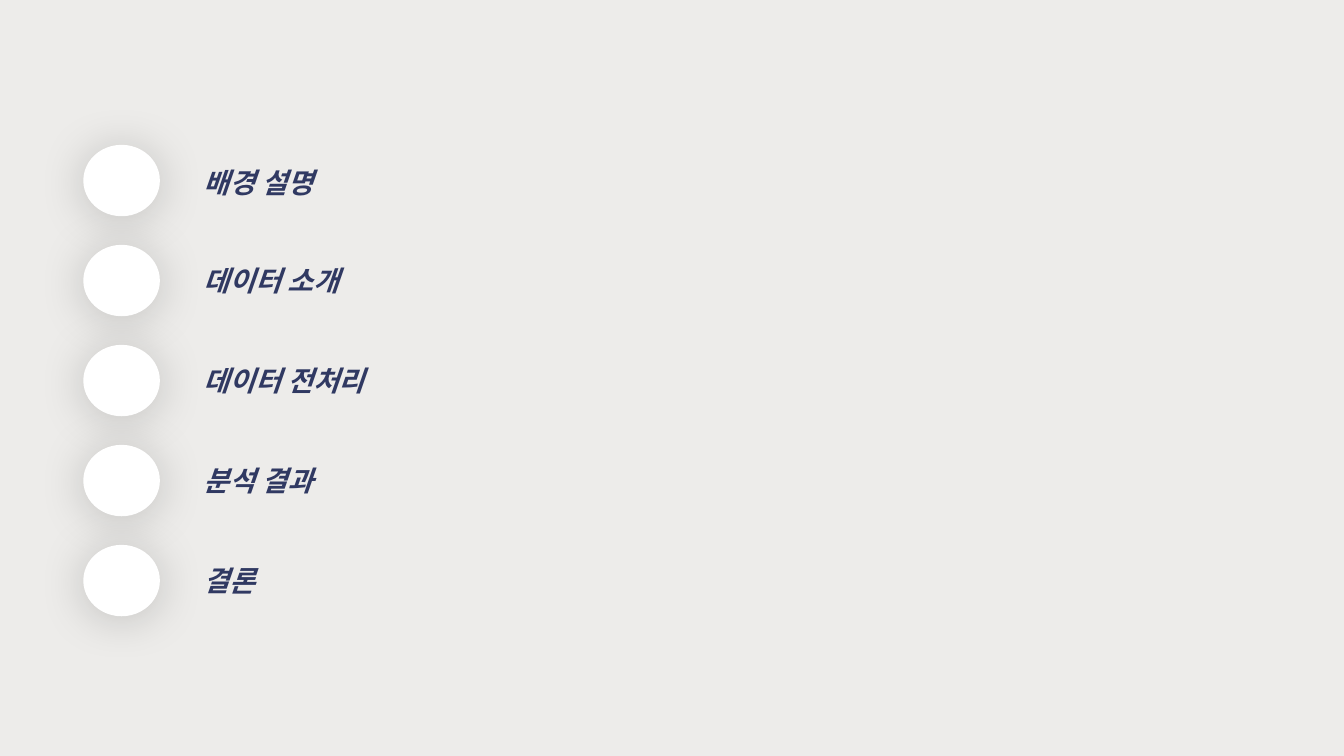
"""Build the agenda slide: five circles with section titles."""
from lxml import etree
from pptx import Presentation
from pptx.dml.color import RGBColor
from pptx.enum.shapes import MSO_SHAPE as SHAPE
from pptx.enum.text import MSO_AUTO_SIZE as AUTO
from pptx.oxml import parse_xml
from pptx.oxml.ns import qn
from pptx.util import Cm, Pt

FONT = "Noto Sans CJK KR"
PITCH = 2.52
TITLES = {
    "배경 설명": 4.05,
    "데이터 소개": 6.51,
    "데이터 전처리": 9.04,
    "분석 결과": 11.56,
    "결론": 14.07,
}
STYLE = {"name": FONT, "size": Pt(20), "bold": True, "italic": True}
SHADOW = (
    '<a:effectLst xmlns:a="http://schemas.openxmlformats.org/drawingml/2006/main">'
    f'<a:outerShdw blurRad="{Pt(34)}" dist="{Pt(2)}" dir="5400000" algn="ctr" rotWithShape="0">'
    '<a:srgbClr val="000000"><a:alpha val="18000"/></a:srgbClr>'
    '</a:outerShdw></a:effectLst>'
)


def rgb(value):
    return RGBColor.from_string(value)


prs = Presentation()
prs.slide_width, prs.slide_height = Cm(33.87), Cm(19.05)
s = prs.slides.add_slide(prs.slide_layouts[6])
s.background.fill.solid()
s.background.fill.fore_color.rgb = rgb("EDECEA")

for i in range(len(TITLES)):
    sp = s.shapes.add_shape(SHAPE.OVAL, Cm(2.1), Cm(3.65 + i * PITCH), Cm(1.93), Cm(1.8))
    sp.fill.solid()
    sp.fill.fore_color.rgb = rgb("FFFFFF")
    sp.line.fill.background()
    sp._element.spPr.append(parse_xml(SHADOW))

for title, top in TITLES.items():
    sp = s.shapes.add_textbox(Cm(4.88), Cm(top), Cm(16.94), Cm(1.11))
    tf = sp.text_frame
    tf.word_wrap = True
    tf.auto_size = AUTO.SHAPE_TO_FIT_TEXT
    r = tf.paragraphs[0].add_run()
    r.text = title
    for key, value in STYLE.items():
        setattr(r.font, key, value)
    r.font.color.rgb = rgb("303962")
    etree.SubElement(r.font._element, qn("a:ea"), typeface=FONT)

prs.save("out.pptx")
